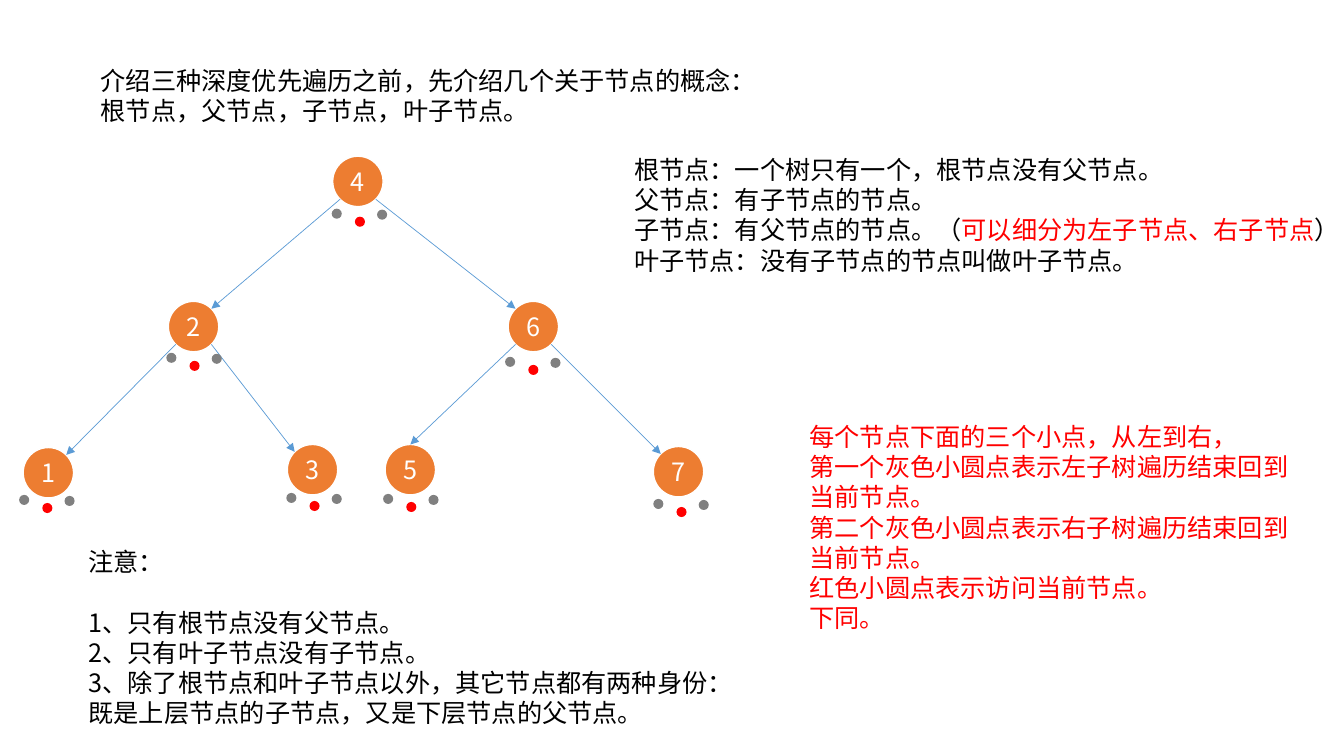
import pptx
import pptx.dml.color
import pptx.enum.shapes
import pptx.enum.text
import pptx.oxml
import pptx.oxml.ns
import pptx.util
from pptx.util import Inches

COLORS = {"text": "000000", "red": "FF0000", "gray": "808080",
          "node": "ED7D31", "white": "FFFFFF", "edge": "5B9BD5"}
FONT = "Noto Sans CJK SC"
FONT_SIZE = 18
BLANK_LINE = 21.8  # points, the height of one line of text
NODE_SIZE = 0.5
DOT_SIZE = 0.1

# Text boxes: left, top, width, height, lines; a line is a list of (text, color)
INTRO = ["介绍三种深度优先遍历之前，先介绍几个关于节点的概念：",
         "根节点，父节点，子节点，叶子节点。"]
DEFINITIONS = ["根节点：一个树只有一个，根节点没有父节点。",
               "父节点：有子节点的节点。",
               [("子节点：有父节点的节点。（", "text"),
                ("可以细分为左子节点、右子节点", "red"), ("）", "text")],
               "叶子节点：没有子节点的节点叫做叶子节点。"]
NOTES = ["注意：",
         "1、只有根节点没有父节点。",
         "2、只有叶子节点没有子节点。",
         "3、除了根节点和叶子节点以外，其它节点都有两种身份：",
         "既是上层节点的子节点，又是下层节点的父节点。"]
LEGEND = ["每个节点下面的三个小点，从左到右，",
          "第一个灰色小圆点表示左子树遍历结束回到",
          "当前节点。",
          "第二个灰色小圆点表示右子树遍历结束回到",
          "当前节点。",
          "红色小圆点表示访问当前节点。",
          "下同。"]
TEXTS = [(0.9, 0.6, 6.77, 0.71, INTRO, "text"),
         (6.19, 1.48, 7.27, 1.31, DEFINITIONS, "text"),
         (0.78, 5.37, 6.65, 2.22, NOTES, "text"),
         (7.93, 4.13, 5, 2.22, LEGEND, "red")]

# Tree nodes: left and top of the circle, then of its first gray dot
NODES = {"4": (3.3, 1.55, 3.29, 2.07),
         "6": (5.04, 2.99, 5.01, 3.54),
         "7": (6.48, 4.43, 6.48, 4.95),
         "5": (3.82, 4.41, 3.8, 4.9),
         "3": (2.85, 4.41, 2.84, 4.89),
         "1": (0.23, 4.44, 0.19, 4.91),
         "2": (1.67, 2.99, 1.65, 3.5)}
# Parent, child, side of the parent (-1 left, 1 right), side of the child (0 top)
EDGES = [("2", "1", -1, 1), ("4", "2", -1, 1), ("4", "6", 1, -1),
         ("2", "3", 1, -1), ("6", "5", -1, 0), ("6", "7", 1, -1)]
# Dots under a node, measured from the first one
DOTS = [(0.45, 0.01, "gray"), (0.23, 0.08, "red"), (0, 0, "gray")]


def color(name):
    return pptx.dml.color.RGBColor.from_string(COLORS[name])


def set_font(font, color_name):
    font.name = FONT
    font.size = pptx.util.Pt(FONT_SIZE)
    font.color.rgb = color(color_name)


def set_east_asian(span):
    properties = span._r.get_or_add_rPr()
    east_asian = pptx.oxml.parse_xml(
        f'<a:ea {pptx.oxml.ns.nsdecls("a")} typeface="{FONT}"/>')
    properties.append(east_asian)


def add_text(page, left, top, width, height, lines, color_name):
    box = page.shapes.add_textbox(*map(Inches, (left, top, width, height)))
    frame = box.text_frame
    frame.word_wrap = False
    frame.auto_size = pptx.enum.text.MSO_AUTO_SIZE.SHAPE_TO_FIT_TEXT
    for index, line in enumerate(lines):
        para = frame.paragraphs[0] if index == 0 else frame.add_paragraph()
        set_font(para.font, color_name)
        spans = [(line, color_name)] if isinstance(line, str) else line
        for text, span_color in spans:
            span = para.add_run()
            span.text = text
            set_font(span.font, span_color)
            set_east_asian(span)
    return box


def add_circle(page, left, top, size, fill):
    circle = page.shapes.add_shape(
        pptx.enum.shapes.MSO_SHAPE.FLOWCHART_CONNECTOR,
        *map(Inches, (left, top, size, size)))
    circle.shadow.inherit = False
    circle.fill.solid()
    circle.fill.fore_color.rgb = color(fill)
    circle.line.fill.background()
    return circle


def add_node(page, label, left, top):
    node = add_circle(page, left, top, NODE_SIZE, "node")
    node.line.color.rgb = color("white")
    node.line.width = pptx.util.Pt(1)
    frame = node.text_frame
    frame.margin_left = frame.margin_right = 0
    frame.margin_top = frame.margin_bottom = 0
    frame.word_wrap = False
    frame.vertical_anchor = pptx.enum.text.MSO_ANCHOR.MIDDLE
    para = frame.paragraphs[0]
    para.text = label
    para.alignment = pptx.enum.text.PP_ALIGN.CENTER
    set_font(para.font, "white")
    set_font(para.runs[0].font, "white")


def rim_point(label, side, direction):
    """Point on a node's rim: the diagonal on that side, or the top for side 0."""
    left, top = NODES[label][:2]
    radius = NODE_SIZE / 2
    reach = radius * (0.5 ** 0.5 if side else 1)
    return left + radius + side * reach, top + radius + direction * reach


def add_edge(page, parent, child, parent_side, child_side):
    start = rim_point(parent, parent_side, 1)
    end = rim_point(child, child_side, -1)
    edge = page.shapes.add_connector(
        pptx.enum.shapes.MSO_CONNECTOR.STRAIGHT, *map(Inches, start + end))
    edge.line.color.rgb = color("edge")
    edge.line.width = pptx.util.Pt(0.5)
    namespace = pptx.oxml.ns.nsdecls("a")
    edge.line._get_or_add_ln().append(
        pptx.oxml.parse_xml(f'<a:tailEnd {namespace} type="triangle"/>'))
    edge._element.spPr.append(pptx.oxml.parse_xml(f"<a:effectLst {namespace}/>"))


def main():
    deck = pptx.Presentation()
    deck.slide_width, deck.slide_height = Inches(13.33), Inches(7.5)
    page = deck.slides.add_slide(deck.slide_layouts[6])

    # Explanations, with a gap under the heading of the notes
    for text in TEXTS:
        box = add_text(page, *text)
        if text[4] is NOTES:
            box.text_frame.paragraphs[0].space_after = pptx.util.Pt(BLANK_LINE)

    # Tree
    for label, (left, top, _, _) in NODES.items():
        add_node(page, label, left, top)
    for edge in EDGES:
        add_edge(page, *edge)

    # Traversal dots
    for _, _, left, top in NODES.values():
        for across, down, fill in DOTS:
            add_circle(page, left + across, top + down, DOT_SIZE, fill)

    deck.save("out.pptx")


if __name__ == "__main__":
    main()
